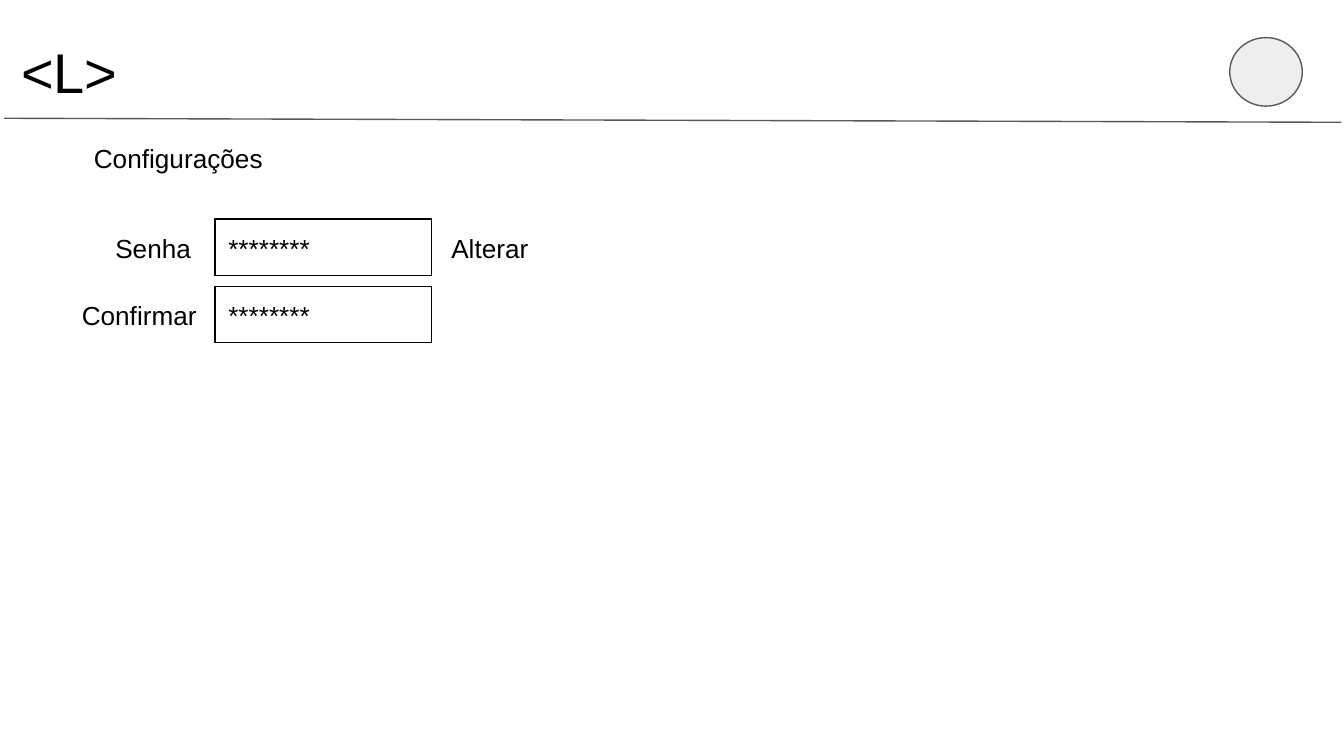
from pptx import Presentation
from pptx.dml.color import RGBColor
from pptx.enum.shapes import MSO_CONNECTOR, MSO_SHAPE
from pptx.enum.text import MSO_ANCHOR, PP_ALIGN
from pptx.util import Inches, Pt
from lxml import etree

FONT = "Arial"
BLACK, GREY, PALE = "000000", "595959", "EEEEEE"
SLIDE_WIDTH = 10
SLIDE_HEIGHT = SLIDE_WIDTH * 9 / 16
ROW_HEIGHT, ROW_TOP, ROW_STEP = 0.42, 1.63, 0.5
FIELD_LEFT, FIELD_WIDTH = 1.6, 1.61

# text, left, top, width, height, size
HEADINGS = [
    ("<L>", 0.06, 0.18, 0.94, 0.62, 30),
    ("Configurações", 0.6, 0.96, 1.61, ROW_HEIGHT, 14),
]
# field value, then its captions as (text, left, width)
ROWS = [
    ("********", [("Senha", 0.76, 0.77), ("Alterar", 3.26, 0.83)]),
    ("********", [("Confirmar", 0.51, 1.08)]),
]


def color(hex_code):
    """Turn a hex string into a colour."""
    return RGBColor.from_string(hex_code)


def write(part, text, size=14):
    """Put left-aligned text at the top of a part."""
    frame = part.text_frame
    frame.text = text
    frame.word_wrap = True
    frame.vertical_anchor = MSO_ANCHOR.TOP
    frame.margin_left = frame.margin_right = Inches(0.1)
    frame.margin_top = frame.margin_bottom = Inches(0.1)
    paragraph = frame.paragraphs[0]
    paragraph.alignment = PP_ALIGN.LEFT
    font = paragraph.runs[0].font
    font.name, font.size = FONT, Pt(size)
    font.color.rgb = color(BLACK)


def add_label(slide, text, left, top, width, height=ROW_HEIGHT, size=14):
    """Add a plain text box."""
    box = map(Inches, (left, top, width, height))
    write(slide.shapes.add_textbox(*box), text, size)


def add_outline(slide, preset, left, top, width, height, line, fill=None):
    """Add a thinly outlined shape, filled only when a fill is given."""
    box = map(Inches, (left, top, width, height))
    shape = slide.shapes.add_shape(preset, *box)
    shape.shadow.inherit = False
    if fill:
        shape.fill.solid()
        shape.fill.fore_color.rgb = color(fill)
    else:
        shape.fill.background()
    shape.line.color.rgb = color(line)
    shape.line.width = Pt(0.75)
    return shape


def add_divider(slide, start, end):
    """Draw the thin line under the header."""
    points = map(Inches, (*start, *end))
    divider = slide.shapes.add_connector(MSO_CONNECTOR.STRAIGHT, *points)
    divider.line.color.rgb = color(GREY)
    divider.line.width = Pt(0.75)
    namespace = "http://schemas.openxmlformats.org/drawingml/2006/main"
    etree.SubElement(divider._element.spPr, f"{{{namespace}}}effectLst")


deck = Presentation()
deck.slide_width, deck.slide_height = Inches(SLIDE_WIDTH), Inches(SLIDE_HEIGHT)
settings = deck.slides.add_slide(deck.slide_layouts[6])

title, subtitle = HEADINGS
add_divider(settings, (0.03, 0.88), (9.98, 0.91))
add_label(settings, *title)
add_outline(settings, MSO_SHAPE.OVAL, 9.15, 0.28, 0.54, 0.51, GREY, PALE)
add_label(settings, *subtitle)

for index, (value, captions) in enumerate(ROWS):
    top = ROW_TOP + index * ROW_STEP
    field = add_outline(settings, MSO_SHAPE.RECTANGLE, FIELD_LEFT, top,
                        FIELD_WIDTH, ROW_HEIGHT, BLACK)
    write(field, value)
    for caption, left, width in captions:
        add_label(settings, caption, left, top, width)

deck.save("out.pptx")
